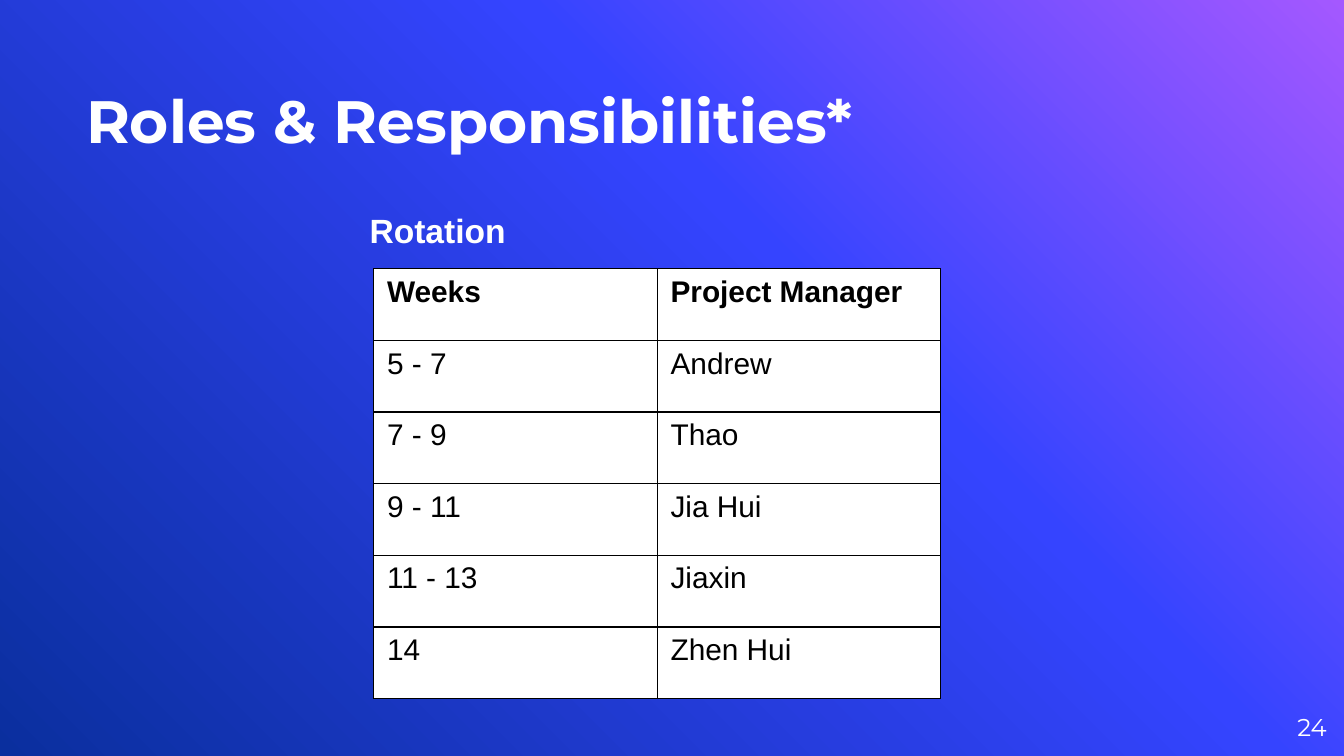
"""Build the roles and rotation slide."""
from lxml import etree
from pptx import Presentation
from pptx import util as u
from pptx.dml.color import RGBColor
from pptx.enum import text as t
from pptx.oxml import ns

theme = {
    "white": "FFFFFF", "black": "000000",
    "grad": [(0, "A458FF"), (39, "3544FF"), (100, "0A2F9E")],
    "head": "Montserrat", "body": "Arial",
    "title": 32, "sub": 18, "cell": 16, "num": 13,
}


def style(para, font, size, tint, bold=False, align=t.PP_ALIGN.LEFT):
    para.alignment = align
    for key, val in {"name": font, "size": u.Pt(size), "bold": bold}.items():
        setattr(para.font, key, val)
    para.font.color.rgb = RGBColor.from_string(theme[tint])


def add(node, tag, **attrs):
    return etree.SubElement(node, ns.qn(tag), attrs)


deck = Presentation()
deck.slide_width = u.Inches(10)
deck.slide_height = u.Inches(10) * 9 // 16
slide = deck.slides.add_slide(deck.slide_layouts[5])

slide.background.fill.gradient()
grad = next(slide.element.iter(ns.qn("a:gradFill")))
for node in list(grad):
    grad.remove(node)
stops = add(grad, "a:gsLst")
for pos, tint in theme["grad"]:
    stop = add(stops, "a:gs", pos=str(pos * 1000))
    add(stop, "a:srgbClr", val=tint)
add(grad, "a:lin", ang=str(135 * 60000), scaled="0")

title = slide.shapes.title
label = slide.shapes.add_textbox(0, 0, 0, 0)
number = slide.shapes.add_textbox(0, 0, 0, 0)
anchor, align = t.MSO_ANCHOR, t.PP_ALIGN
texts = [
    (title, "Roles & Responsibilities*", (0.64, 0.22, 7.01, 0.94), anchor.BOTTOM,
     ("head", "title", True, align.LEFT)),
    (label, "Rotation", (2.75, 1.52, 4.99, 3.5), anchor.TOP,
     ("body", "sub", True, align.LEFT)),
    (number, "24", (9.27, 5.19, 0.6, 0.43), anchor.MIDDLE,
     ("head", "num", False, align.RIGHT)),
]
for shape, words, box, fix, (font, size, bold, side) in texts:
    for key, val in zip(("left", "top", "width", "height"), box):
        setattr(shape, key, u.Inches(val))
    frame = shape.text_frame
    form = {
        "text": words, "word_wrap": True, "auto_size": t.MSO_AUTO_SIZE.NONE,
        "vertical_anchor": fix, "margin_left": 0, "margin_right": 0,
        "margin_top": 0, "margin_bottom": 0,
    }
    for key, val in form.items():
        setattr(frame, key, val)
    style(frame.paragraphs[0], theme[font], theme[size], "white", bold, side)

para = label.text_frame.paragraphs[0]
para.line_spacing, para.space_before = 1.15, u.Pt(6)

rows = [
    ("Weeks", "Project Manager"),
    ("5 - 7", "Andrew"),
    ("7 - 9", "Thao"),
    ("9 - 11", "Jia Hui"),
    ("11 - 13", "Jiaxin"),
    ("14", "Zhen Hui"),
]
high = u.Inches(3.2) // len(rows)
grid = slide.shapes.add_table(
    len(rows), 2, u.Inches(2.78), u.Inches(2), u.Inches(4.22), high * len(rows)
).table
for r, row in enumerate(rows):
    grid.rows[r].height = high
    for c, words in enumerate(row):
        cell = grid.cell(r, c)
        cell.text = words
        style(cell.text_frame.paragraphs[0], theme["body"], theme["cell"],
              "black", r == 0)
        props = cell._tc.get_or_add_tcPr()
        for edge in ("a:lnL", "a:lnR", "a:lnT", "a:lnB"):
            line = add(props, edge, w=str(u.Pt(0.75)))
            add(add(line, "a:solidFill"), "a:srgbClr", val=theme["black"])
        cell.fill.solid()
        cell.fill.fore_color.rgb = RGBColor.from_string(theme["white"])

deck.save("out.pptx")
